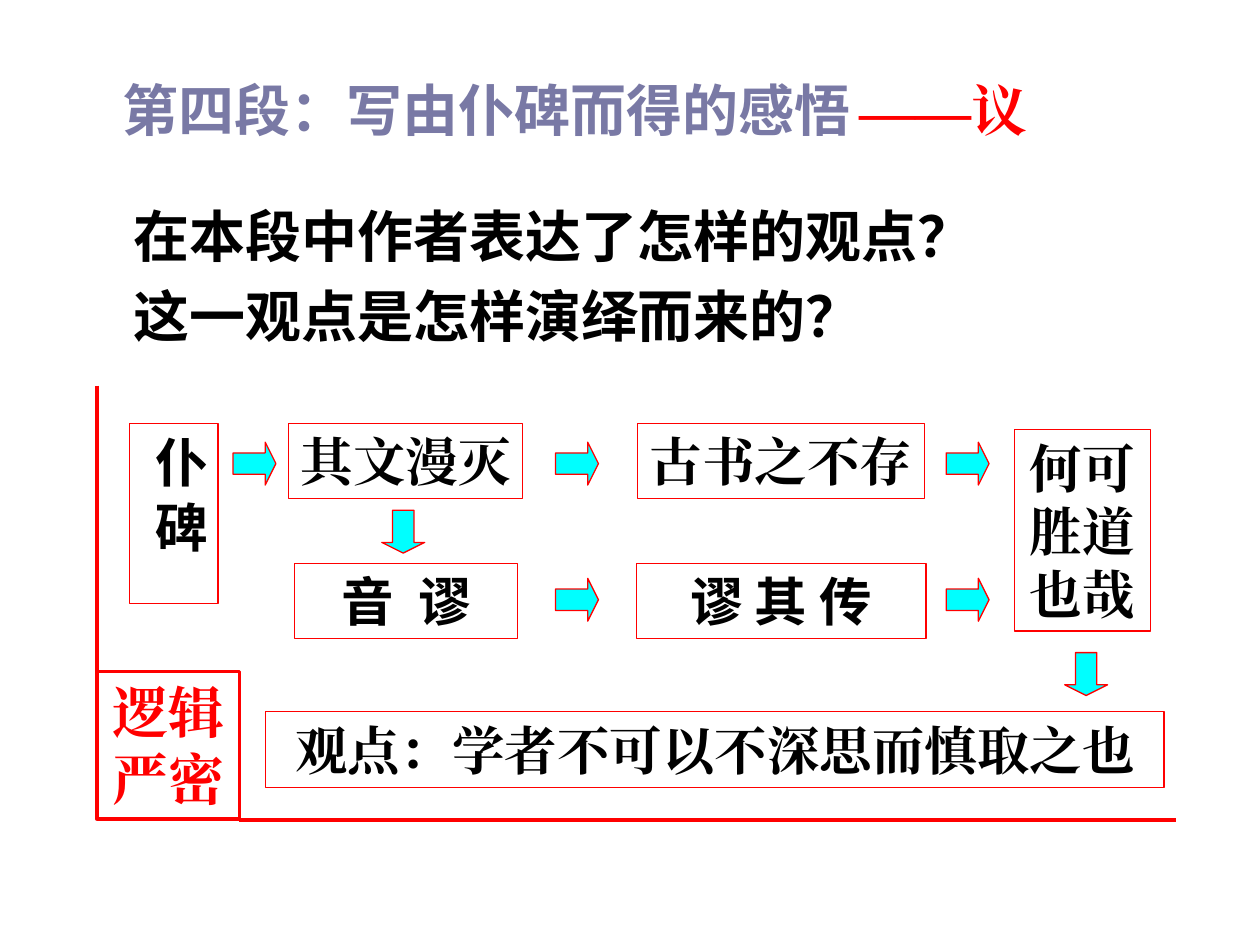
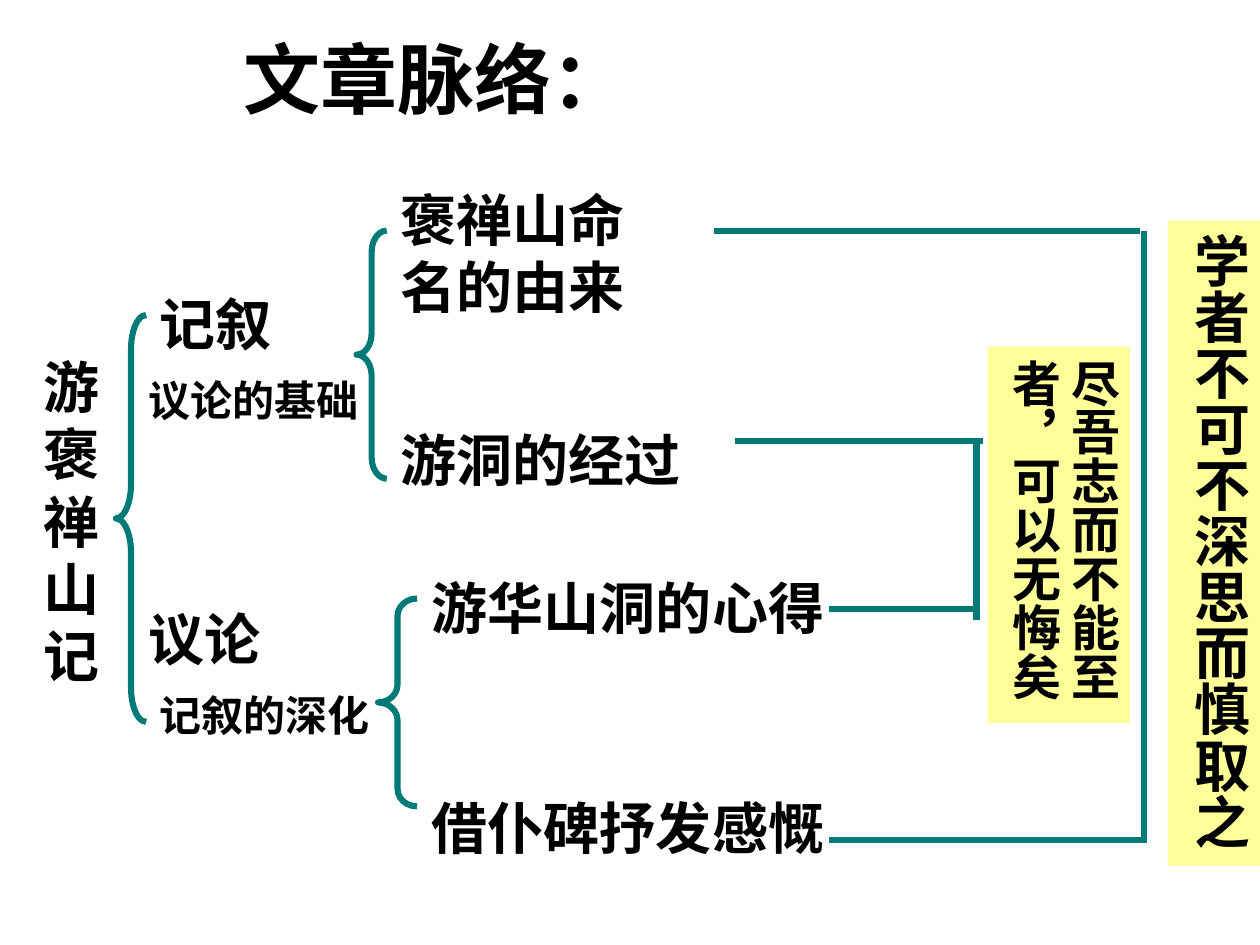
from itertools import product

from lxml.etree import SubElement
from pptx import Presentation
from pptx.dml.color import RGBColor
from pptx.enum.shapes import MSO_CONNECTOR, MSO_SHAPE
from pptx.enum.text import MSO_ANCHOR, PP_ALIGN
from pptx.oxml.ns import qn
from pptx.util import Inches, Pt

BLACK = RGBColor(0x00, 0x00, 0x00)
RED = RGBColor(0xFF, 0x00, 0x00)
CYAN = RGBColor(0x00, 0xFF, 0xFF)
LAVENDER = RGBColor(0x79, 0x79, 0xA5)
TEAL = RGBColor(0x00, 0x7A, 0x77)
YELLOW = RGBColor(0xFF, 0xFF, 0x99)
SANS, SERIF, CJK = "Arial", "Times New Roman", "Noto Sans CJK SC"

# Slide 1: (text, (left, top, width, height), format)
HEADINGS = [
    (["在本段中作者表达了怎样的观点？", "这一观点是怎样演绎而来的？"],
     (0.96, 1.44, 7.92, 1.38), dict(font=CJK, spacing=1.2)),
    (["第四段：写由仆碑而得的感悟"], (0.87, 0.55, 6.45, 0.64),
     dict(font=CJK, color=LAVENDER)),
    (["——议"], (6.72, 0.55, 3.2, 0.64), dict(font=SERIF, color=RED)),
]
ROW_TOPS, ROW_H = (3.36, 4.47), 0.6
CENTER = dict(align=PP_ALIGN.CENTER)
STEPS = [
    ("仆 碑", (1.03, ROW_TOPS[0], 0.7, 1.43), dict(font=CJK, vertical=True, **CENTER)),
    ("其文漫灭", (2.29, ROW_TOPS[0], 1.86, ROW_H), dict(font=SERIF, wrap=False)),
    ("音  谬", (2.34, ROW_TOPS[1], 1.77, ROW_H), dict(font=CJK, **CENTER)),
    ("古书之不存", (5.06, ROW_TOPS[0], 2.28, ROW_H), dict(font=SERIF, wrap=False)),
    ("谬 其 传", (5.05, ROW_TOPS[1], 2.3, ROW_H), dict(font=CJK, **CENTER)),
    ("何可胜道也哉", (8.05, 3.41, 1.08, 1.6), dict(font=SERIF, **CENTER)),
    ("观点：学者不可以不深思而慎取之也", (2.11, 5.65, 7.13, ROW_H),
     dict(font=SERIF, **CENTER)),
]
ARROW = 0.34
ARROW_TOPS = (3.51, 4.59)
RIGHT_ARROWS = [(1.85, ARROW_TOPS[0]), *product((4.41, 7.51), ARROW_TOPS)]
DOWN_ARROWS = [(3.03, 4.05), (8.45, 5.18)]
LOGIC_BOX = (0.77, 5.33, 1.13, 1.17)
LOGIC_LINES = [(1.9, 6.51, 9.33, 6.51), (0.77, 3.06, 0.77, 5.37)]

# Slide 2: (text, (left, top, width, height), size)
OUTLINE = [
    ("游褒禅山记", (0.25, 2.75, 0.53, 2.77), 32),
    ("记叙", (1.17, 2.25, 1.37, 0.64), 32),
    ("议论", (1.08, 4.75, 1.16, 0.64), 32),
    ("议论的基础", (1.08, 2.92, 2.52, 0.5), 24),
    ("记叙的深化", (1.17, 5.42, 2.52, 0.5), 24),
    ("褒禅山命名的由来", (3.08, 1.42, 2.13, 1.17), 32),
    ("游洞的经过", (3.08, 3.33, 3.02, 0.64), 32),
    ("游华山洞的心得", (3.33, 4.5, 3.54, 0.64), 32),
    ("借仆碑抒发感慨", (3.33, 6.25, 3.7, 0.64), 32),
]
BRACES = [  # box, curl as a share of the width
    ((0.92, 2.5, 0.24, 3.23), 1.13),
    ((2.83, 1.83, 0.24, 1.97), 0.7),
    ((3, 4.75, 0.31, 1.65), 0.45),
]
LINKS = [
    (5.83, 3.5, 7.8, 3.5), (7.75, 3.5, 7.75, 4.92), (6.58, 4.83, 7.77, 4.83),
    (6.58, 6.67, 9.1, 6.67), (9.08, 6.64, 9.08, 1.83), (5.67, 1.83, 9.05, 1.83),
]
CONCLUSIONS = [
    ("尽吾志而不能至者，可以无悔矣", (7.84, 2.75, 1.13, 2.99), 28),
    ("学者不可不深思而慎取之", (9.27, 1.75, 0.73, 5.12), 32),
]


def inches(values):
    return [Inches(v) for v in values]


def write(sp, lines, size=32, font=SANS, color=BLACK, align=PP_ALIGN.LEFT,
          anchor=MSO_ANCHOR.TOP, spacing=None, wrap=True, vertical=False):
    tf = sp.text_frame
    side, end = inches((0.05, 0.1) if vertical else (0.1, 0.05))
    frame = dict(word_wrap=wrap, vertical_anchor=anchor, margin_left=side,
                 margin_right=side, margin_top=end, margin_bottom=end)
    for name, value in frame.items():
        setattr(tf, name, value)
    if vertical:
        tf._txBody.bodyPr.set("vert", "eaVert")
    for i, line in enumerate(lines):
        p = tf.add_paragraph() if i else tf.paragraphs[0]
        p.alignment, p.line_spacing = align, spacing
        r = p.add_run()
        r.text = line
        for name, value in dict(size=Pt(size), bold=True, name=font).items():
            setattr(r.font, name, value)
        r.font.color.rgb = color
        SubElement(r._r.get_or_add_rPr(), qn("a:ea"), typeface=font)


def add_text(s, lines, box, **fmt):
    write(s.shapes.add_textbox(*inches(box)), lines, **fmt)


def add_shape(s, kind, box, fill=None, line=None, width=0.75):
    sp = s.shapes.add_shape(kind, *inches(box))
    sp.shadow.inherit = False
    for part, color in ((sp.fill, fill), (sp.line.fill, line)):
        if color is None:
            part.background()
        else:
            part.solid()
            part.fore_color.rgb = color
    if line is not None:
        sp.line.width = Pt(width)
    return sp


def add_lines(s, ends, color, width):
    for end in ends:
        c = s.shapes.add_connector(MSO_CONNECTOR.STRAIGHT, *inches(end))
        c.line.color.rgb = color
        c.line.width = Pt(width)
        SubElement(c._element.spPr, qn("a:effectLst"))


def build_argument(s):
    for lines, box, fmt in HEADINGS:
        add_text(s, lines, box, **fmt)
    for text, box, fmt in STEPS:
        write(add_shape(s, MSO_SHAPE.RECTANGLE, box, line=RED), [text], size=30, **fmt)
    for spots, angle in ((RIGHT_ARROWS, 0), (DOWN_ARROWS, 90)):
        for spot in spots:
            sp = add_shape(s, MSO_SHAPE.RIGHT_ARROW, (*spot, ARROW, ARROW), CYAN, RED)
            sp.adjustments[0], sp.adjustments[1] = 0.5, 0.25
            sp.rotation = angle
    sp = add_shape(s, MSO_SHAPE.RECTANGLE, LOGIC_BOX, line=RED, width=2)
    write(sp, ["逻辑严密"], font=SERIF, color=RED, **CENTER)
    add_lines(s, LOGIC_LINES, RED, 2)


def build_outline(s):
    add_text(s, ["文章脉络："], (0, 0, 6.93, 1.23), size=44,
             anchor=MSO_ANCHOR.MIDDLE, **CENTER)
    for text, box, size in OUTLINE:
        add_text(s, [text], box, size=size)
    for box, curl in BRACES:
        sp = add_shape(s, MSO_SHAPE.LEFT_BRACE, box, line=TEAL, width=3.5)
        sp.adjustments[0], sp.adjustments[1] = curl, 0.5
    add_lines(s, LINKS, TEAL, 3.5)
    for text, box, size in CONCLUSIONS:
        sp = add_shape(s, MSO_SHAPE.RECTANGLE, box, fill=YELLOW)
        write(sp, [text], size=size, vertical=True)


def main():
    prs = Presentation()
    prs.slide_width, prs.slide_height = inches((10, 7.5))
    for build in (build_argument, build_outline):
        build(prs.slides.add_slide(prs.slide_layouts[6]))
    prs.save("out.pptx")


if __name__ == "__main__":
    main()
